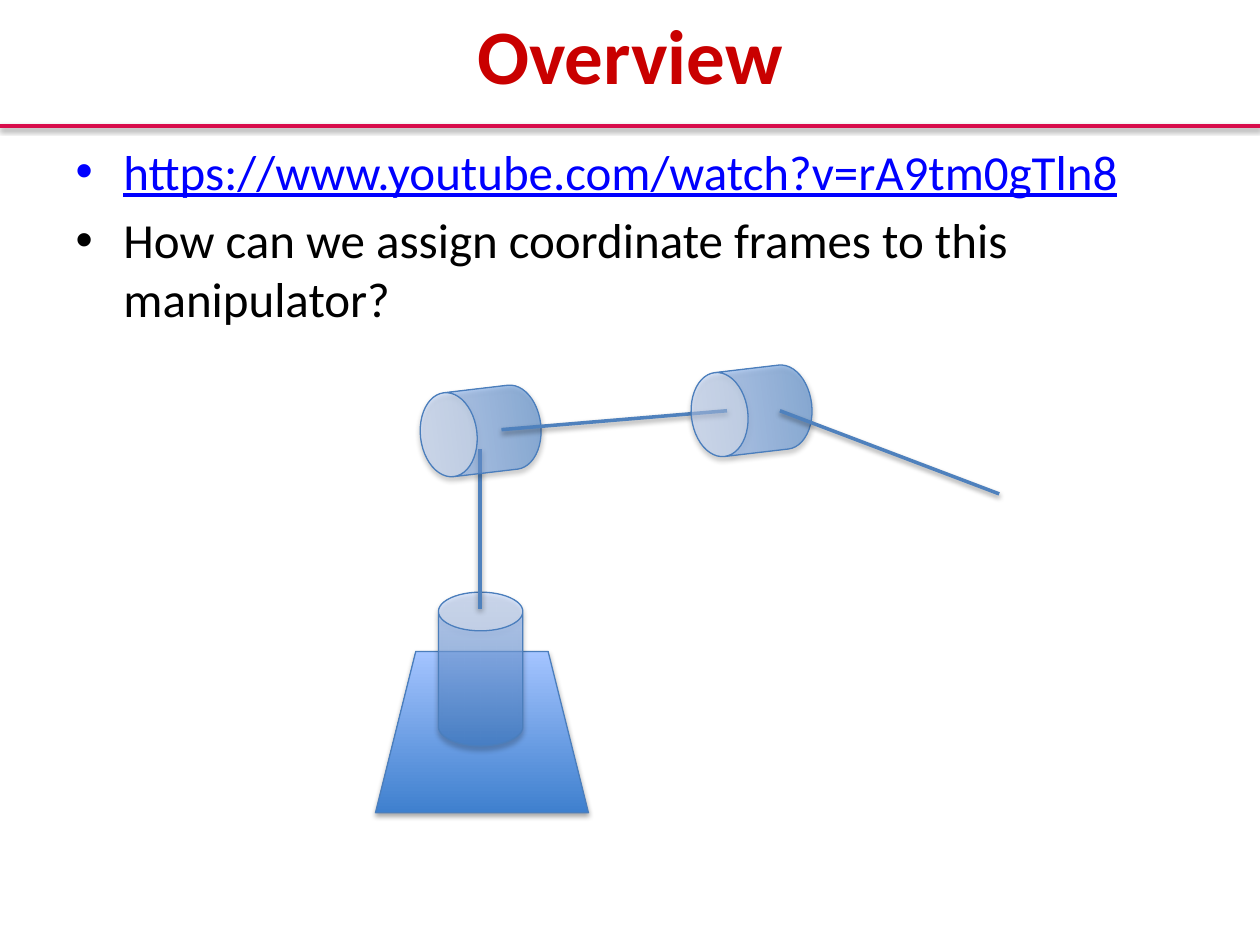
"""Build the overview slide with a three-joint manipulator sketch."""
import lxml.etree
import pptx
import pptx.dml.color
import pptx.enum.shapes
import pptx.enum.text
import pptx.oxml.ns
import pptx.util

Inches, Pt = pptx.util.Inches, pptx.util.Pt
SHAPES = pptx.enum.shapes.MSO_SHAPE
COLORS = {
    "title": "C90000", "rule": "D80D4C", "address": "0000FF", "text": "000000",
    "dark": "3F80CE", "light": "A4C4FF", "edge": "4B7EBC", "link": "4F81BD",
    "shadow": "000000",
}
FONT = "Calibri"
TITLE = "Overview"
BULLETS = [
    ("https://www.youtube.com/watch?v=rA9tm0gTln8", "address", True),
    ("How can we assign coordinate frames to this manipulator?", "text", False),
]
JOINT = {"kind": SHAPES.CAN, "size": (0.67, 0.96), "turn": 263.3, "bend": 0.67, "opacity": 53}
BASE = {"kind": SHAPES.TRAPEZOID, "at": (2.98, 5.17), "size": (1.69, 1.28)}
WAIST = {"kind": SHAPES.CAN, "at": (3.48, 4.7), "size": (0.67, 1.22), "bend": 0.458, "opacity": 58}
SHOULDER = {**JOINT, "at": (3.48, 2.94)}
ELBOW = {**JOINT, "at": (5.63, 2.78)}
UPRIGHT = ((3.81, 4.83), (3.81, 3.56))
UPPER_ARM = ((5.77, 3.26), (3.98, 3.41))
FOREARM = ((6.19, 3.26), (7.93, 3.92))
MANIPULATOR = [BASE, WAIST, UPRIGHT, SHOULDER, UPPER_ARM, ELBOW, FOREARM]


def rgb(name):
    return pptx.dml.color.RGBColor.from_string(COLORS[name])


def add_element(parent, tag, **attributes):
    return lxml.etree.SubElement(parent, pptx.oxml.ns.qn(tag), attributes)


def add_shadow(properties, distance, opacity):
    effects = add_element(properties, "a:effectLst")
    shadow = add_element(effects, "a:outerShdw", blurRad=str(Pt(3.1)), dist=str(Pt(distance)),
                         dir="5400000", rotWithShape="0")
    color = add_element(shadow, "a:srgbClr", val=COLORS["shadow"])
    add_element(color, "a:alpha", val=str(opacity * 1000))


def add_line(shapes, start, end, color):
    line = shapes.add_connector(pptx.enum.shapes.MSO_CONNECTOR.STRAIGHT,
                                *map(Inches, start + end))
    line.line.color.rgb = rgb(color)
    line.line.width = Pt(2)
    add_shadow(line._element.spPr, 1.6, 38)


def add_part(shapes, kind, at, size, turn=0, bend=None, opacity=100):
    part = shapes.add_shape(kind, *map(Inches, at + size))
    part.rotation = turn
    if bend is not None:
        part.adjustments[0] = bend
    part.fill.gradient()
    part.fill.gradient_angle = 90
    for stop, color, position in zip(part.fill.gradient_stops, ("dark", "light"), (0, 1)):
        stop.position = position
        stop.color.rgb = rgb(color)
        if opacity < 100:
            tint = stop._gs.find(pptx.oxml.ns.qn("a:srgbClr"))
            add_element(tint, "a:alpha", val=str(opacity * 1000))
    part.line.color.rgb = rgb("edge")
    part.line.width = Pt(0.75)
    add_shadow(part._element.spPr, 1.8, 35)


def place(box, left, top, width, height):
    box.left, box.top, box.width, box.height = map(Inches, (left, top, width, height))


def add_span(para, text, size, color, bold=False, underline=False):
    span = para.add_run()
    span.text = text
    span.font.name, span.font.size = FONT, Pt(size)
    span.font.bold, span.font.underline = bold, underline
    span.font.color.rgb = rgb(color)


def main():
    deck = pptx.Presentation()
    deck.slide_width, deck.slide_height = Inches(10), Inches(7.5)
    page = deck.slides.add_slide(deck.slide_layouts[1])
    title, body = page.placeholders

    place(title, 0, 0, 10, 0.85)
    title.text_frame.vertical_anchor = pptx.enum.text.MSO_ANCHOR.MIDDLE
    heading = title.text_frame.paragraphs[0]
    heading.alignment = pptx.enum.text.PP_ALIGN.CENTER
    add_span(heading, TITLE, 44, "title", bold=True)

    place(body, 0.5, 1.07, 9, 6.03)
    for index, (text, color, underline) in enumerate(BULLETS):
        para = body.text_frame.add_paragraph() if index else body.text_frame.paragraphs[0]
        settings = para._p.get_or_add_pPr()
        settings.set("marL", str(Inches(0.38)))
        settings.set("indent", str(-Inches(0.38)))
        add_element(settings, "a:buChar", char="•")
        para.space_before = Pt(5.6 if index else 0)
        add_span(para, text, 28, color, underline=underline)

    add_line(page.shapes, (0, 1), (10, 1), "rule")
    manipulator = page.shapes.add_group_shape()
    for piece in MANIPULATOR:
        if isinstance(piece, dict):
            add_part(manipulator.shapes, **piece)
        else:
            add_line(manipulator.shapes, *piece, "link")
    deck.save("out.pptx")


if __name__ == "__main__":
    main()
